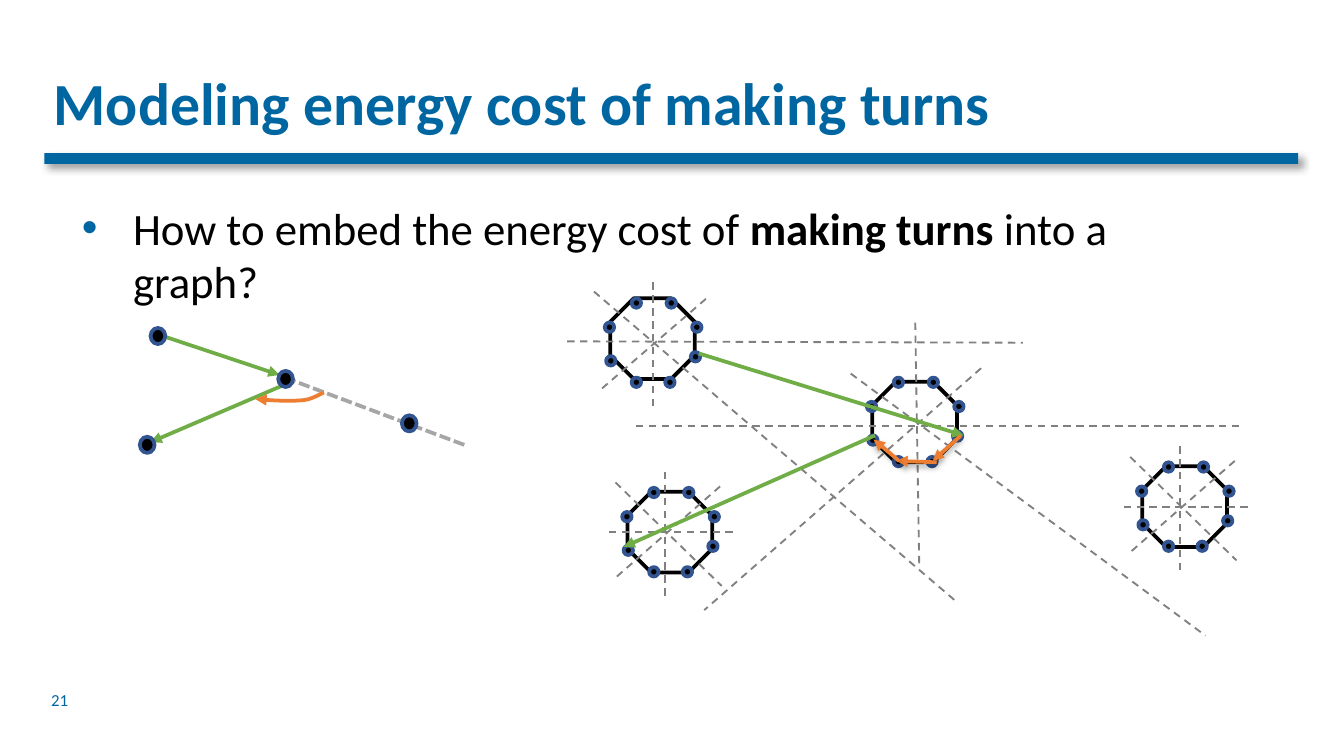
from dataclasses import dataclass

from lxml.etree import SubElement
from pptx import Presentation
from pptx.dml.color import RGBColor
from pptx.enum.dml import MSO_LINE
from pptx.enum.shapes import MSO_CONNECTOR, MSO_SHAPE
from pptx.enum.text import MSO_ANCHOR, MSO_AUTO_SIZE, PP_ALIGN
from pptx.oxml.ns import qn
from pptx.util import Inches, Pt


@dataclass(frozen=True)
class Theme:
    font: str = "Calibri"
    title_size: int = 32
    body_size: int = 24
    number_size: int = 9
    stroke: int = 2
    thin: int = 1
    blue: str = "0066A1"
    black: str = "000000"
    white: str = "FFFFFF"
    rim: str = "325491"
    green: str = "70AD47"
    orange: str = "ED7D31"
    grey: str = "808080"
    pale: str = "A6A6A6"


theme = Theme()
bar_shadow = (40, 4, 3, 45)
turn_shadow = (35, 3.1, 1.8, 90)


def style(shape, colour=None, width=theme.stroke, dash=None, arrow=False, shadow=None):
    if colour:
        shape.line.color.rgb = RGBColor.from_string(colour)
        shape.line.width = Pt(width)
    else:
        shape.line.fill.background()
    if dash:
        shape.line.dash_style = dash
    if arrow:
        SubElement(shape.get_or_add_ln(), qn("a:tailEnd"), type="triangle")
    effects = SubElement(shape.element.spPr, qn("a:effectLst"))
    if shadow:
        alpha, blur, distance, angle = shadow
        outer = SubElement(effects, qn("a:outerShdw"), blurRad=str(Pt(blur)),
                           dist=str(Pt(distance)), dir=str(angle * 60000),
                           algn="t", rotWithShape="0")
        tint = SubElement(outer, qn("a:srgbClr"), val=theme.black)
        SubElement(tint, qn("a:alpha"), val=str(alpha * 1000))


def add_link(shapes, ends, colour, **options):
    connector = shapes.add_connector(
        MSO_CONNECTOR.STRAIGHT, *(round(end * column) for end in ends))
    style(connector, colour, **options)


presentation = Presentation()
presentation.slide_width = Inches(10)
presentation.slide_height = Inches(5.625)
column = presentation.slide_width // 100
slide = presentation.slides.add_slide(presentation.slide_layouts[1])
title, body = slide.placeholders
number = slide.shapes.add_textbox(0, 0, column, column)

text_boxes = [
    (title, (3.3, 4.6, 93.3, 6.6), 0.7, 0.7, MSO_ANCHOR.MIDDLE, theme.title_size,
     theme.blue, [("Modeling energy cost of making turns", True)]),
    (body, (5.1, 14.4, 87.3, 9), 1, 0.5, MSO_ANCHOR.TOP, theme.body_size, theme.black,
     [("How to embed the energy cost of ", False), ("making turns ", True),
      ("into a graph?", False)]),
    (number, (3.1, 50.6, 16.9, 3), 0.7, 0.4, MSO_ANCHOR.MIDDLE, theme.number_size,
     theme.blue, [("21", False)]),
]
for shape, box, side, edge, anchor, size, colour, runs in text_boxes:
    shape.left, shape.top, shape.width, shape.height = (round(n * column) for n in box)
    frame = shape.text_frame
    frame.word_wrap = True
    frame.auto_size = MSO_AUTO_SIZE.NONE
    frame.vertical_anchor = anchor
    frame.margin_left = frame.margin_right = round(side * column)
    frame.margin_top = frame.margin_bottom = round(edge * column)
    paragraph = frame.paragraphs[0]
    paragraph.alignment = PP_ALIGN.LEFT
    paragraph.space_before = Pt(0)
    if shape is title:
        paragraph.line_spacing = 0.9
    if shape is body:
        properties = paragraph._p.get_or_add_pPr()
        indent = round(3.8 * column)
        properties.set("marL", str(indent))
        properties.set("indent", str(-indent))
        bullet_colour = SubElement(properties, qn("a:buClr"))
        SubElement(bullet_colour, qn("a:srgbClr"), val=theme.blue)
        SubElement(properties, qn("a:buFont"), typeface="Arial")
        SubElement(properties, qn("a:buChar"), char="•")
    paragraph.font.name = theme.font
    paragraph.font.size = Pt(size)
    paragraph.font.color.rgb = RGBColor.from_string(colour)
    for text, bold in runs:
        run = paragraph.add_run()
        run.text = text
        run.font.bold = bold

bar = slide.shapes.add_shape(
    MSO_SHAPE.RECTANGLE, *(round(n * column) for n in (3.3, 11.4, 93.3, 0.8)))
bar.fill.solid()
bar.fill.fore_color.rgb = RGBColor.from_string(theme.blue)
style(bar, shadow=bar_shadow)

add_link(slide.shapes, (21, 28.7, 11.2, 32.9), theme.green, arrow=True)
add_link(slide.shapes, (21.2, 28.1, 34.8, 33.2), theme.pale, dash=MSO_LINE.SQUARE_DOT)
add_link(slide.shapes, (12.4, 25.1, 20.8, 27.9), theme.green, arrow=True)

curves = [((24.1, 29.2), (23.5, 29.5), (23, 29.8), (22.2, 29.8)),
          ((22.2, 29.8), (21.4, 29.9), (19, 29.7), (19, 29.7))]
arc = []
for start, pull, push, end in curves:
    for step in range(9):
        t = step / 8
        arc.append(tuple(
            round(column * ((1 - t) ** 3 * a + 3 * (1 - t) ** 2 * t * b
                            + 3 * (1 - t) * t ** 2 * c + t ** 3 * d))
            for a, b, c, d in zip(start, pull, push, end)))
builder = slide.shapes.build_freeform(*arc[0])
builder.add_line_segments(arc[1:], close=False)
turn_arc = builder.convert_to_shape()
turn_arc.fill.background()
style(turn_arc, theme.orange, arrow=True)

dots = [(slide.shapes, x, y, 1.1, 1.2)
        for x, y in [(11.2, 24.4), (20.7, 27.6), (10.4, 32.5), (29.9, 30.9)]]
corners = [(6, 3.7), (6.1, 1.5), (4.1, 5.6), (4.2, -0.3),
           (1.6, -0.3), (-0.4, 1.5), (-0.3, 4), (1.6, 5.6)]
short_spokes = [(-0.9, -0.7, 7, 7), (-0.8, 6.3, 7.1, -0.6),
                (-1.4, 3, 8, 3), (2.8, -1.5, 2.8, 7.9)]
hubs = [
    (45.4, 22.2, 22.5, [(44.8, 28.9, 52.8, 22), (48.6, 21, 48.6, 30.4),
                        (44.2, 21.7, 71.2, 44.8), (42.2, 25.4, 76.1, 25.5)]),
    (46.7, 36.6, 36.6, None),
    (64.9, 28.4, 28.4, [(63.3, 27.8, 89.7, 47.3), (47.3, 31.7, 92.2, 31.7),
                        (73, 27.4, 52.4, 45.4), (68.1, 24, 68.4, 42.2)]),
    (85, 34.7, 34.7, None),
]
for left, top, dot_top, spokes in hubs:
    shapes = slide.shapes.add_group_shape().shapes
    octagon = shapes.add_shape(
        MSO_SHAPE.OCTAGON, *(round(n * column) for n in (left, top, 6.3, 6)))
    octagon.fill.solid()
    octagon.fill.fore_color.rgb = RGBColor.from_string(theme.white)
    style(octagon, theme.black)
    for spoke in spokes or [(left + a, top + b, left + c, top + d)
                            for a, b, c, d in short_spokes]:
        add_link(shapes, spoke, theme.grey, width=theme.thin, dash=MSO_LINE.DASH)
    dots += [(shapes, left + x, dot_top + y, 0.7, 0.7) for x, y in corners]

for shapes, *box in dots:
    dot = shapes.add_shape(MSO_SHAPE.OVAL, *(round(n * column) for n in box))
    dot.fill.solid()
    dot.fill.fore_color.rgb = RGBColor.from_string(theme.black)
    style(dot, theme.rim)

for ends in [(65.1, 32.4, 46.4, 40.7), (52, 26.3, 71.7, 32.4)]:
    add_link(slide.shapes, ends, theme.green, arrow=True)
for ends in [(71.5, 32.4, 69.4, 34.3), (69.7, 34.4, 66.7, 34.3), (66.9, 34.3, 65, 32.7)]:
    add_link(slide.shapes, ends, theme.orange, arrow=True, shadow=turn_shadow)

presentation.save("out.pptx")
